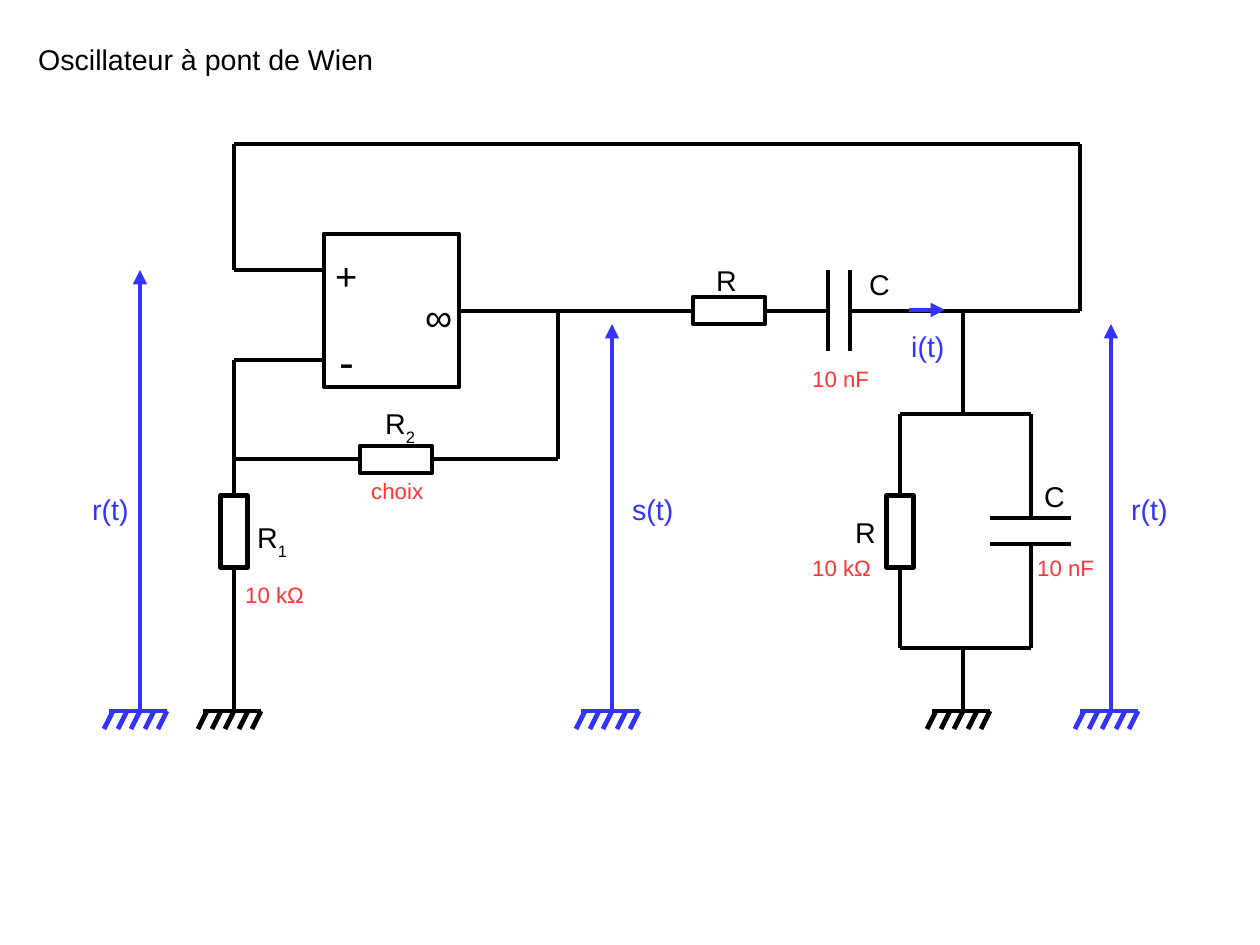
from lxml import etree
from pptx import Presentation
from pptx.dml.color import RGBColor
from pptx.enum.shapes import MSO_CONNECTOR as CONN, MSO_SHAPE as SHAPE
from pptx.enum.text import MSO_AUTO_SIZE as AUTO
from pptx.oxml.ns import qn
from pptx.util import Pt

PX = 8000  # EMU per px
COLORS = {
    "black": "000000",
    "white": "FFFFFF",
    "blue": "3333FF",
    "red": "FF3333",
}
RGB = {name: RGBColor.from_string(value) for name, value in COLORS.items()}
GROUND_Y = 711

prs = Presentation()
prs.slide_width, prs.slide_height = 1260 * PX, 945 * PX
s = prs.slides.add_slide(prs.slide_layouts[6])


def add_line(x1, y1, x2, y2, color="black", arrow=False):
    c = s.shapes.add_connector(CONN.STRAIGHT, x1 * PX, y1 * PX, x2 * PX, y2 * PX)
    c.line.color.rgb = RGB[color]
    c.line.width = Pt(3)
    if arrow:
        etree.SubElement(c.line._get_or_add_ln(), qn("a:tailEnd"), type="triangle")
    etree.SubElement(c._element.spPr, qn("a:effectLst"))


# Amplifier and resistors: left, top, width, height, rotation
boxes = [
    (324, 234, 135, 153, 0),
    (693, 297, 72, 27, 0),
    (360, 446, 72, 27, 0),
    (864, 518, 72, 27, 270),
    (198, 518, 72, 27, 270),
]
for x, y, w, h, rotation in boxes:
    sp = s.shapes.add_shape(SHAPE.RECTANGLE, x * PX, y * PX, w * PX, h * PX)
    sp.rotation = rotation
    sp.shadow.inherit = False
    sp.fill.solid()
    sp.fill.fore_color.rgb = RGB["white"]
    sp.line.color.rgb = RGB["black"]
    sp.line.width = Pt(3)

wires = [
    # Feedback loop to the + input
    (324, 270, 234, 270), (234, 270, 234, 144), (234, 144, 1080, 144),
    (1080, 144, 1080, 311), (963, 311, 1080, 311),
    # Output and series branch
    (459, 311, 693, 311), (765, 311, 828, 311), (850, 311, 963, 311),
    # Parallel branch
    (963, 414, 963, 311), (900, 414, 1031, 414), (1031, 518, 1031, 414),
    (900, 495, 900, 414), (1031, 648, 1031, 544), (900, 648, 900, 567),
    (900, 648, 1031, 648), (963, GROUND_Y, 963, 648),
    # Feedback to the - input
    (558, 311, 558, 459), (558, 459, 432, 459), (360, 459, 234, 459),
    (324, 360, 234, 360), (234, 495, 234, 360), (234, GROUND_Y, 234, 567),
]
capacitor_plates = [
    (828, 270, 828, 351), (850, 270, 850, 351),
    (990, 518, 1071, 518), (990, 544, 1071, 544),
]
for ends in wires + capacitor_plates:
    add_line(*ends)

grounds = [(234, "black"), (963, "black"), (612, "blue"), (1111, "blue"), (140, "blue")]
for x, color in grounds:
    add_line(x - 31, GROUND_Y, x + 27, GROUND_Y, color)
    for dx in (27, 14, 0, -13, -27):
        add_line(x + dx - 9, GROUND_Y + 18, x + dx, GROUND_Y, color)

# Voltages and current
for ends in [(612, GROUND_Y, 612, 324), (1111, GROUND_Y, 1111, 324),
             (140, GROUND_Y, 140, 270), (909, 310, 945, 310)]:
    add_line(*ends, "blue", arrow=True)

# Left, top, width, height, text, subscript, size, colour
labels = [
    (27, 36, 603, 43, "Oscillateur à pont de Wien", "", 18, "black"),
    (324, 247, 58, 63, "+", "", 24, "black"),
    (328, 328, 45, 61, "-", "", 28, "black"),
    (414, 288, 45, 54, "∞", "", 24, "black"),
    (621, 486, 90, 43, "s(t)", "", 18, "blue"),
    (1120, 486, 90, 43, "r(t)", "", 18, "blue"),
    (81, 486, 90, 43, "r(t)", "", 18, "blue"),
    (900, 323, 63, 45, "i(t)", "", 18, "blue"),
    (858, 261, 63, 43, "C", "", 18, "black"),
    (1033, 473, 63, 43, "C", "", 18, "black"),
    (844, 509, 63, 43, "R", "", 18, "black"),
    (705, 257, 63, 43, "R", "", 18, "black"),
    (374, 400, 63, 50, "R", "2", 18, "black"),
    (246, 514, 63, 50, "R", "1", 18, "black"),
    (801, 360, 81, 37, "10 nF", "", 14, "red"),
    (1026, 549, 81, 37, "10 nF", "", 14, "red"),
    (801, 549, 90, 37, "10 kΩ", "", 14, "red"),
    (234, 576, 90, 37, "10 kΩ", "", 14, "red"),
    (360, 472, 81, 37, "choix", "", 14, "red"),
]
for x, y, w, h, text, subscript, size, color in labels:
    tf = s.shapes.add_textbox(x * PX, y * PX, w * PX, h * PX).text_frame
    tf.word_wrap = True
    tf.auto_size = AUTO.SHAPE_TO_FIT_TEXT
    p = tf.paragraphs[0]
    p.text = text
    if subscript:
        r = p.add_run()
        r.text = subscript
        r.font._element.set("baseline", "-33000")
    for r in p.runs:
        r.font.name = "Arial"
        r.font.size = Pt(size)
        r.font.color.rgb = RGB[color]

prs.save("out.pptx")
